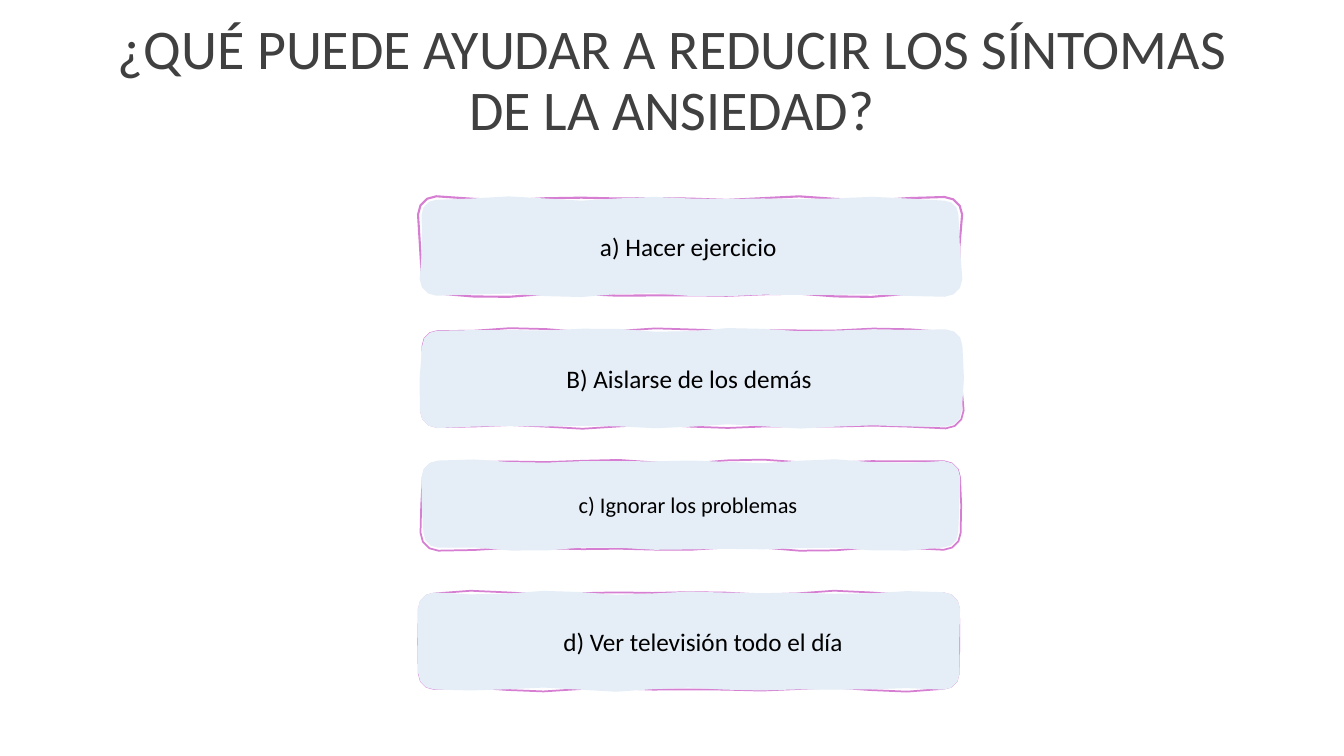
from math import cos, pi, sin

from pptx import Presentation
from pptx.dml.color import RGBColor
from pptx.enum.text import MSO_ANCHOR, PP_ALIGN
from pptx.util import Pt

COLOURS = {"title": "404040", "answer": "000000", "fill": "E5EEF7", "line": "D67FD2"}
FONT = "Calibri"
FIRST_TOP, PITCH = 141.8, 93.9
CORNER, CORNER_STEPS, EDGE_STEP, WAVE = 11.5, 3, 26, 0.8

# text, left, width, height, font size, line width, shift of the text from the centre
ANSWERS = [
    ("a) Hacer ejercicio", 300.2, 386, 69, 18, 1.5, -2),
    ("B) Aislarse de los demás", 301, 386, 69, 18, 1.25, -2),
    ("c) Ignorar los problemas", 301.6, 384, 62.5, 16, 1.25, -2),
    ("d) Ver televisión todo el día", 298.8, 386.5, 69, 18, 1.25, 10),
]


def colour(name):
    return RGBColor.from_string(COLOURS[name])


def write(frame, text, size, colour_name):
    frame.word_wrap = True
    frame.vertical_anchor = MSO_ANCHOR.MIDDLE
    para = frame.paragraphs[0]
    para.alignment = PP_ALIGN.CENTER
    span = para.add_run()
    span.text = text
    span.font.name = FONT
    span.font.size = Pt(size)
    span.font.color.rgb = colour(colour_name)
    return para


def wavy_outline(left, top, width, height, phase):
    """Return points on a rounded rectangle, pushed in and out by two sine waves."""
    right, bottom = left + width - CORNER, top + height - CORNER
    left, top = left + CORNER, top + CORNER
    centres = [(right, bottom), (left, bottom), (left, top), (right, top)]
    points = []
    for corner, (x, y) in enumerate(centres):
        next_x, next_y = centres[(corner + 1) % 4]
        steps = round((abs(next_x - x) + abs(next_y - y)) / EDGE_STEP)
        places = [(x, y, (corner + step / CORNER_STEPS) * pi / 2) for step in range(CORNER_STEPS)]
        places += [(x + (next_x - x) * step / steps, y + (next_y - y) * step / steps,
                    (corner + 1) * pi / 2) for step in range(steps)]
        for centre_x, centre_y, angle in places:
            wave = sin((centre_x + centre_y) / 14 + phase) + sin((centre_x - centre_y) / 20 + 2 * phase)
            radius = CORNER + WAVE * wave
            points.append((Pt(centre_x + radius * cos(angle)), Pt(centre_y + radius * sin(angle))))
    return points


def add_wavy_box(slide, left, top, width, height, phase):
    start, *others = wavy_outline(left, top, width, height, phase)
    builder = slide.shapes.build_freeform(*start)
    builder.add_line_segments(others, close=True)
    box = builder.convert_to_shape()
    box.shadow.inherit = False
    return box


def add_title(slide, left, top, width, height):
    box = slide.shapes.add_textbox(Pt(left), Pt(top), Pt(width), Pt(height))
    para = write(box.text_frame, "¿QUÉ PUEDE AYUDAR A REDUCIR LOS SÍNTOMAS DE LA ANSIEDAD?", 40, "title")
    para.line_spacing = 0.9


def add_answer(slide, left, top, width, height, text, size, line_width, shift, phase):
    """Draw a hand-sketched box: a wavy line with a differently waved fill over it."""
    outline = add_wavy_box(slide, left, top, width, height, phase)
    outline.fill.background()
    outline.line.color.rgb = colour("line")
    outline.line.width = Pt(line_width)
    panel = add_wavy_box(slide, left, top, width, height, phase + 2)
    panel.fill.solid()
    panel.fill.fore_color.rgb = colour("fill")
    panel.line.fill.background()
    panel.text_frame.margin_left = Pt(7.2 + 2 * shift)
    write(panel.text_frame, text, size, "answer")


def main():
    deck = Presentation()
    deck.slide_width, deck.slide_height = Pt(960), Pt(540)
    slide = deck.slides.add_slide(deck.slide_layouts[6])
    add_title(slide, 66, 13.7, 828, 89.3)
    for row, (text, left, width, height, size, line_width, shift) in enumerate(ANSWERS):
        add_answer(slide, left, FIRST_TOP + row * PITCH, width, height, text, size, line_width, shift, row)
    deck.save("out.pptx")


if __name__ == "__main__":
    main()
